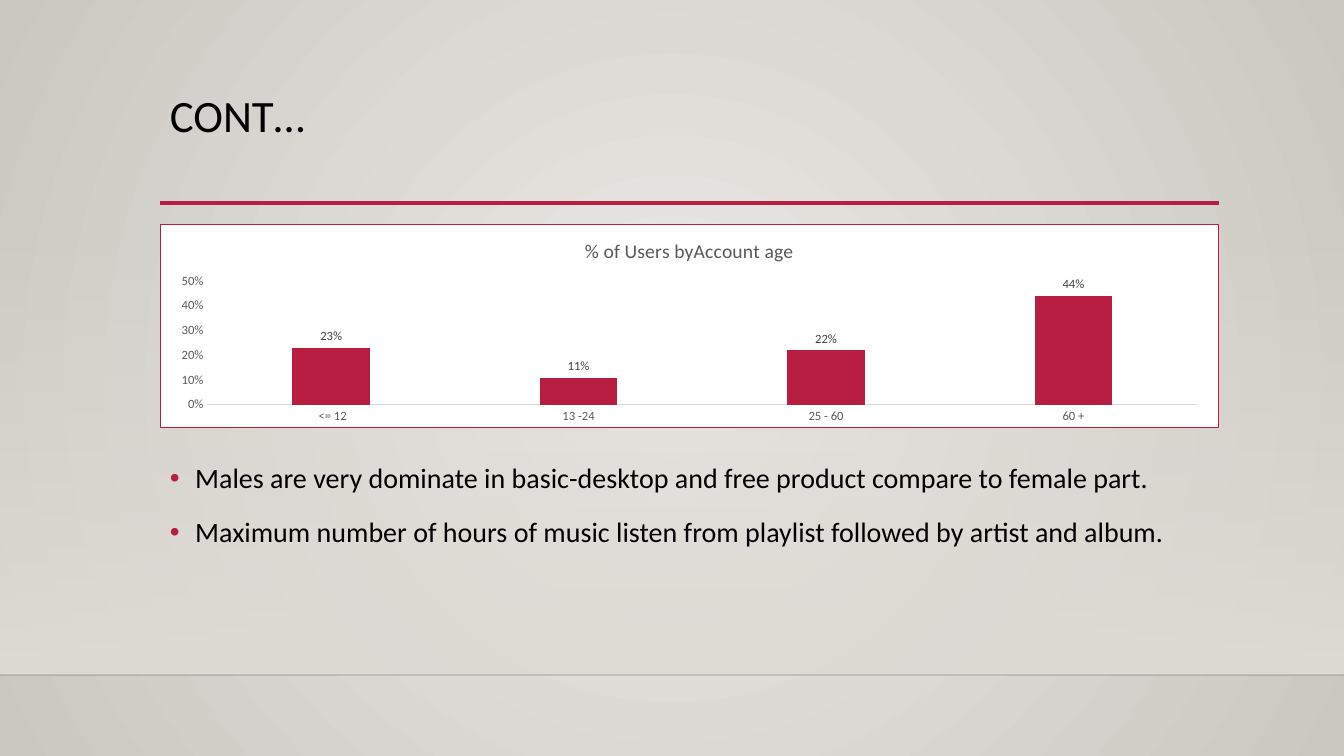
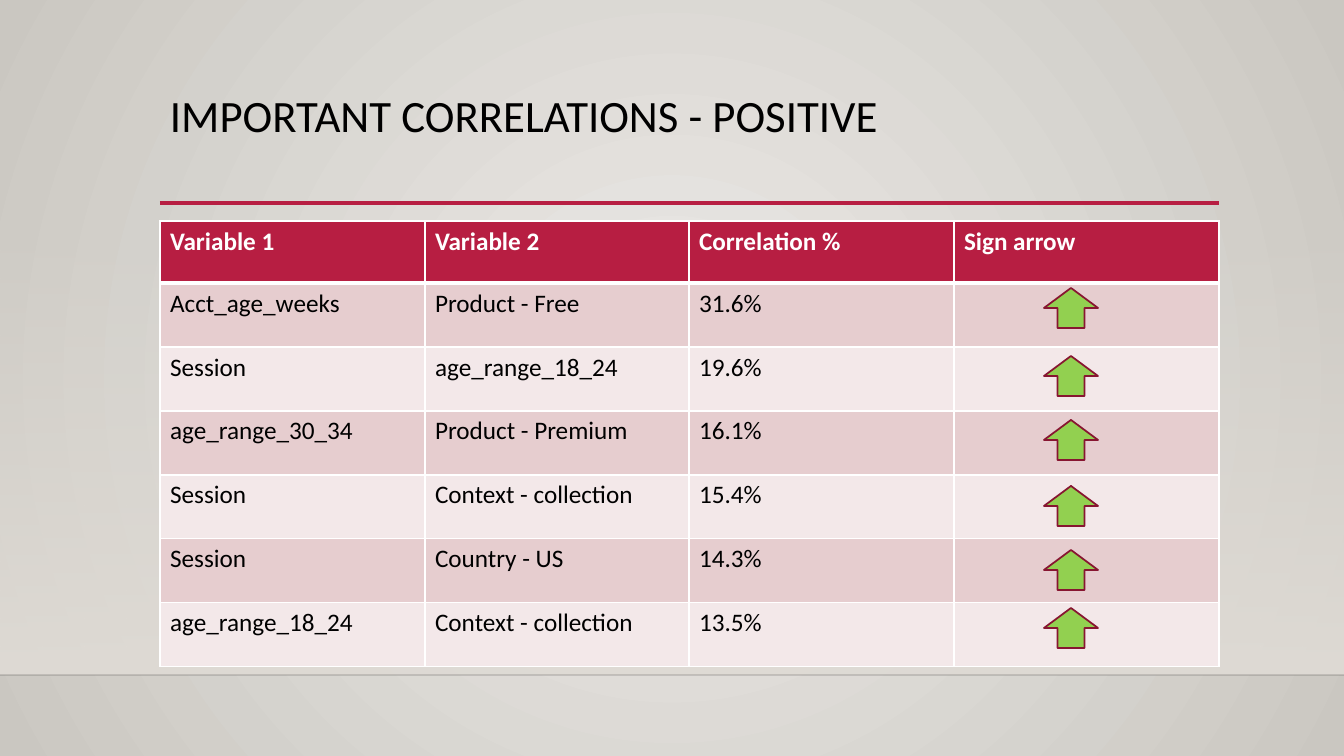
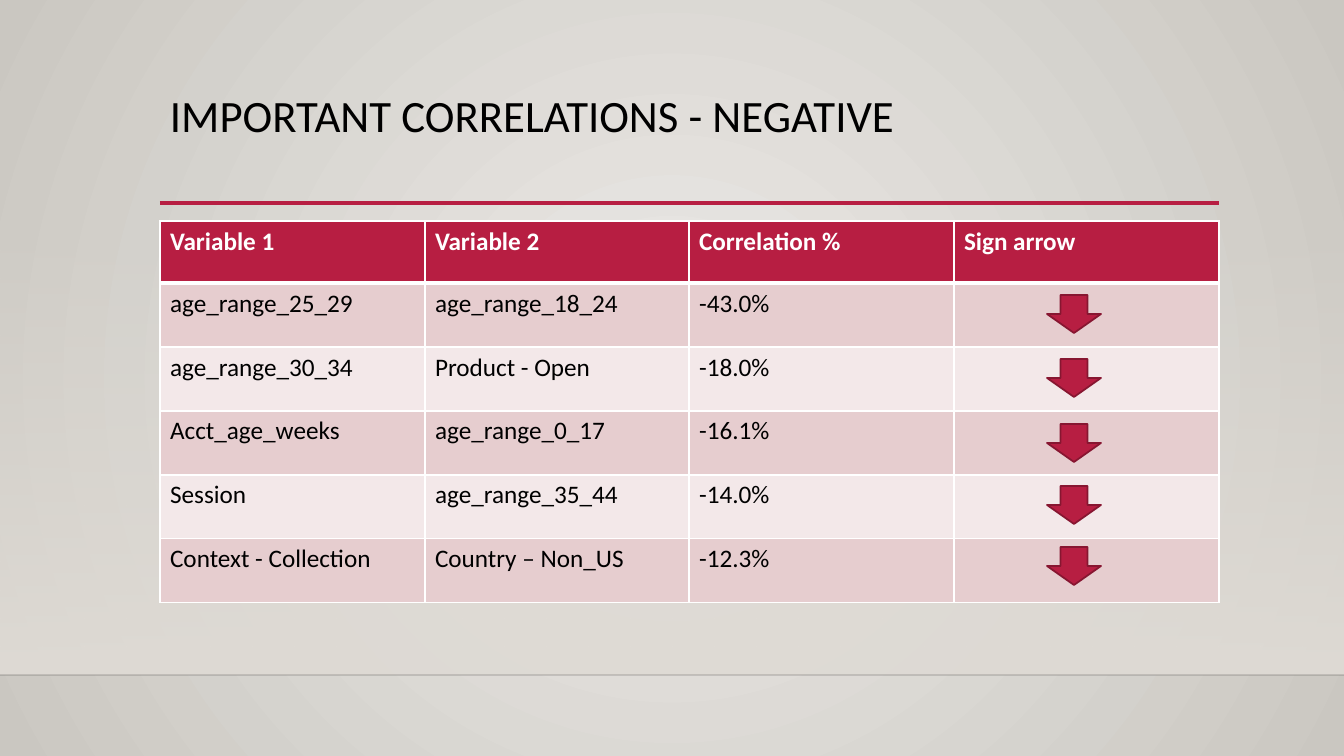
"""Build three slides on listener accounts: a column chart and two correlation tables."""
from lxml import etree
from pptx import Presentation
from pptx import util as u
from pptx.chart import data as chart_data
from pptx.dml.color import RGBColor
from pptx.enum import chart as ch
from pptx.enum import shapes, text
from pptx.oxml import ns

PIXEL = 914400 / 100.8
FONT = "Calibri"
CRIMSON = RGBColor(0xB7, 0x1E, 0x42)
DARK_CRIMSON = RGBColor(0x87, 0x16, 0x31)
GREEN = RGBColor(0x92, 0xD0, 0x50)
BLACK = RGBColor(0, 0, 0)
WHITE = RGBColor(0xFF, 0xFF, 0xFF)
GLOW = RGBColor(0xEC, 0xEA, 0xE7)
STONE = RGBColor(0xCA, 0xC7, 0xC1)
SAND = RGBColor(0xDF, 0xDB, 0xD5)
ROSE = RGBColor(0xE6, 0xCD, 0xCF)
PALE_ROSE = RGBColor(0xF3, 0xE8, 0xE9)
AXIS_TEXT = RGBColor(0x59, 0x59, 0x59)
LABEL_TEXT = RGBColor(0x40, 0x40, 0x40)
AXIS_LINE = RGBColor(0xD9, 0xD9, 0xD9)

LEFT, WIDTH = 160, 1059
TITLES = [
    "CONT…",
    "IMPORTANT CORRELATIONS - POSITIVE",
    "IMPORTANT CORRELATIONS - NEGATIVE",
]
BULLETS = [
    "Males are very dominate in basic-desktop and free product compare to female part.",
    "Maximum number of hours of music listen from playlist followed by artist and album.",
]
HEADER = ("Variable 1", "Variable 2", "Correlation %", "Sign arrow")
POSITIVE = [
    ("Acct_age_weeks", "Product - Free", "31.6%", ""),
    ("Session", "age_range_18_24", "19.6%", ""),
    ("age_range_30_34", "Product - Premium", "16.1%", ""),
    ("Session", "Context - collection", "15.4%", ""),
    ("Session", "Country - US", "14.3%", ""),
    ("age_range_18_24", "Context - collection", "13.5%", ""),
]
NEGATIVE = [
    ("age_range_25_29", "age_range_18_24", "-43.0%", ""),
    ("age_range_30_34", "Product - Open", "-18.0%", ""),
    ("Acct_age_weeks", "age_range_0_17", "-16.1%", ""),
    ("Session", "age_range_35_44", "-14.0%", ""),
    ("Context - Collection", "Country – Non_US", "-12.3%", ""),
]


def px(*lengths):
    """Turn pixel lengths into EMU."""
    return [u.Emu(round(length * PIXEL)) for length in lengths]


def style(font, size, color, bold=False):
    """Give a font the deck's typeface with a size and colour."""
    font.name, font.size, font.bold = FONT, u.Pt(size), bold
    font.color.rgb = color


deck = Presentation()
deck.slide_width, deck.slide_height = px(1344, 756)
pages = []

for title in TITLES:
    page = deck.slides.add_slide(deck.slide_layouts[6])
    pages.append(page)

    backdrop = page.background.fill
    backdrop.gradient()
    for stop, color in zip(backdrop.gradient_stops, (GLOW, STONE)):
        stop.color.rgb = color
    gradient = page.element.find(".//" + ns.qn("a:gradFill"))
    gradient.remove(gradient.find(ns.qn("a:lin")))
    circle = etree.SubElement(gradient, ns.qn("a:path"), {"path": "circle"})
    center = {side: "50000" for side in "ltrb"}
    etree.SubElement(circle, ns.qn("a:fillToRect"), center)

    band = page.shapes.add_shape(shapes.MSO_SHAPE.RECTANGLE, *px(0, 223, 1344, 452))
    band.shadow.inherit = False
    band.line.fill.background()
    band.fill.gradient()
    band.fill.gradient_angle = 270
    for stop in band.fill.gradient_stops:
        stop.color.rgb = SAND
    clear = band.element.find(".//" + ns.qn("a:srgbClr"))
    etree.SubElement(clear, ns.qn("a:alpha"), {"val": "0"})

    for start, end, y, color, weight, opacity in (
        (0, 1344, 675, BLACK, 1, 20),
        (LEFT, LEFT + WIDTH, 203, CRIMSON, 2.5, 100),
    ):
        rule = page.shapes.add_connector(
            shapes.MSO_CONNECTOR.STRAIGHT, *px(start, y, end, y))
        rule.line.color.rgb = color
        rule.line.width = u.Pt(weight)
        ink = rule.element.find(".//" + ns.qn("a:srgbClr"))
        etree.SubElement(ink, ns.qn("a:alpha"), {"val": str(opacity * 1000)})
        etree.SubElement(rule.element.spPr, ns.qn("a:effectLst"))

    box = page.shapes.add_textbox(*px(LEFT, 89, WIDTH, 115))
    box.text_frame.word_wrap = True
    box.text_frame.text = title
    para = box.text_frame.paragraphs[0]
    para.line_spacing = 0.9
    style(para.runs[0].font, 32, BLACK)

chart_page, positive_page, negative_page = pages

body = chart_page.shapes.add_textbox(*px(LEFT, 449, WIDTH, 220)).text_frame
body.word_wrap = True
body.text = "\n".join(BULLETS)
for para in body.paragraphs:
    para.line_spacing = 1.2
    para.space_before = u.Pt(10)
    style(para.runs[0].font, 20, BLACK)
    props = para.runs[0]._r.getparent().get_or_add_pPr()
    props.set("marL", str(u.Inches(0.25)))
    props.set("indent", str(-u.Inches(0.25)))
    bullet_color = etree.SubElement(props, ns.qn("a:buClr"))
    etree.SubElement(bullet_color, ns.qn("a:srgbClr"), {"val": str(CRIMSON)})
    etree.SubElement(props, ns.qn("a:buFont"), {"typeface": "Arial"})
    etree.SubElement(props, ns.qn("a:buChar"), {"char": "•"})

ages = chart_data.CategoryChartData(number_format="0%")
ages.categories = [" <= 12", "13 -24", "25 - 60", "60 +"]
ages.add_series("% of Users byAccount age", (0.23, 0.11, 0.22, 0.44))
chart = chart_page.shapes.add_chart(
    ch.XL_CHART_TYPE.COLUMN_CLUSTERED, *px(LEFT, 224, WIDTH, 204), ages).chart
style(chart.font, 10, BLACK)
chart.has_legend = False
chart.has_title = True
chart.chart_title.include_in_layout = False
heading = chart.chart_title.text_frame
heading.text = "% of Users byAccount age"
style(heading.paragraphs[0].runs[0].font, 14, AXIS_TEXT)

for axis in (chart.category_axis, chart.value_axis):
    axis.major_tick_mark = axis.minor_tick_mark = ch.XL_TICK_MARK.NONE
    axis.has_major_gridlines = False
    style(axis.tick_labels.font, 9, AXIS_TEXT)
chart.category_axis.format.line.color.rgb = AXIS_LINE
chart.category_axis.format.line.width = u.Pt(0.75)
chart.value_axis.format.line.fill.background()
chart.value_axis.minimum_scale = 0
chart.value_axis.maximum_scale = 0.5
chart.value_axis.major_unit = 0.1
chart.value_axis.tick_labels.number_format = "0%"
chart.value_axis.tick_labels.number_format_is_linked = False

plot = chart.plots[0]
plot.gap_width, plot.overlap, plot.vary_by_categories = 219, -27, False
columns = plot.series[0]
columns.format.fill.solid()
columns.format.fill.fore_color.rgb = CRIMSON
labels = columns.data_labels
labels.show_value = True
labels.position = ch.XL_LABEL_POSITION.OUTSIDE_END
labels.number_format = "0%"
labels.number_format_is_linked = False
style(labels.font, 9, LABEL_TEXT)

chart_area = etree.Element(ns.qn("c:spPr"))
border = etree.Element(ns.qn("a:ln"), {"w": str(u.Pt(0.75))})
for parent, color in ((chart_area, WHITE), (border, CRIMSON)):
    solid = etree.SubElement(parent, ns.qn("a:solidFill"))
    etree.SubElement(solid, ns.qn("a:srgbClr"), {"val": str(color)})
chart_area.append(border)
chart.element.find(ns.qn("c:chart")).addnext(chart_area)

UP, DOWN = shapes.MSO_SHAPE.UP_ARROW, shapes.MSO_SHAPE.DOWN_ARROW
for page, records, kind, color, arrow_left, arrow_height, arrow_tops in (
    (positive_page, POSITIVE, UP, GREEN, 1044, 40, (288, 356, 420, 486, 550, 608)),
    (negative_page, NEGATIVE, DOWN, CRIMSON, 1047, 38, (295, 359, 424, 486, 547)),
):
    rows = [HEADER, *records]
    height = 62 + 64 * len(records)
    table = page.shapes.add_table(
        len(rows), len(HEADER), *px(LEFT, 221, WIDTH, height)).table
    for column, width in zip(table.columns, px(265, 264, 265, 265)):
        column.width = width
    for row_index, values in enumerate(rows):
        is_header = row_index == 0
        table.rows[row_index].height = px(62 if is_header else 64)[0]
        weights = {
            "lnL": 1,
            "lnR": 1,
            "lnT": 3 if row_index == 1 else 1,
            "lnB": 3 if is_header else 1,
        }
        for column_index, value in enumerate(values):
            cell = table.cell(row_index, column_index)
            cell.text = value
            cell.vertical_anchor = text.MSO_ANCHOR.TOP
            for span in cell.text_frame.paragraphs[0].runs:
                style(span.font, 18, WHITE if is_header else BLACK, is_header)
            props = cell._tc.get_or_add_tcPr()
            for side, weight in weights.items():
                edge = etree.SubElement(props, ns.qn("a:" + side), {"w": str(u.Pt(weight))})
                solid = etree.SubElement(edge, ns.qn("a:solidFill"))
                etree.SubElement(solid, ns.qn("a:srgbClr"), {"val": str(WHITE)})
            cell.fill.solid()
            stripe = ROSE if row_index % 2 else PALE_ROSE
            cell.fill.fore_color.rgb = CRIMSON if is_header else stripe

    for top in arrow_tops:
        arrow = page.shapes.add_shape(kind, *px(arrow_left, top, 54, arrow_height))
        arrow.shadow.inherit = False
        arrow.fill.solid()
        arrow.fill.fore_color.rgb = color
        arrow.line.color.rgb = DARK_CRIMSON
        arrow.line.width = u.Pt(1.25)

deck.save("out.pptx")
